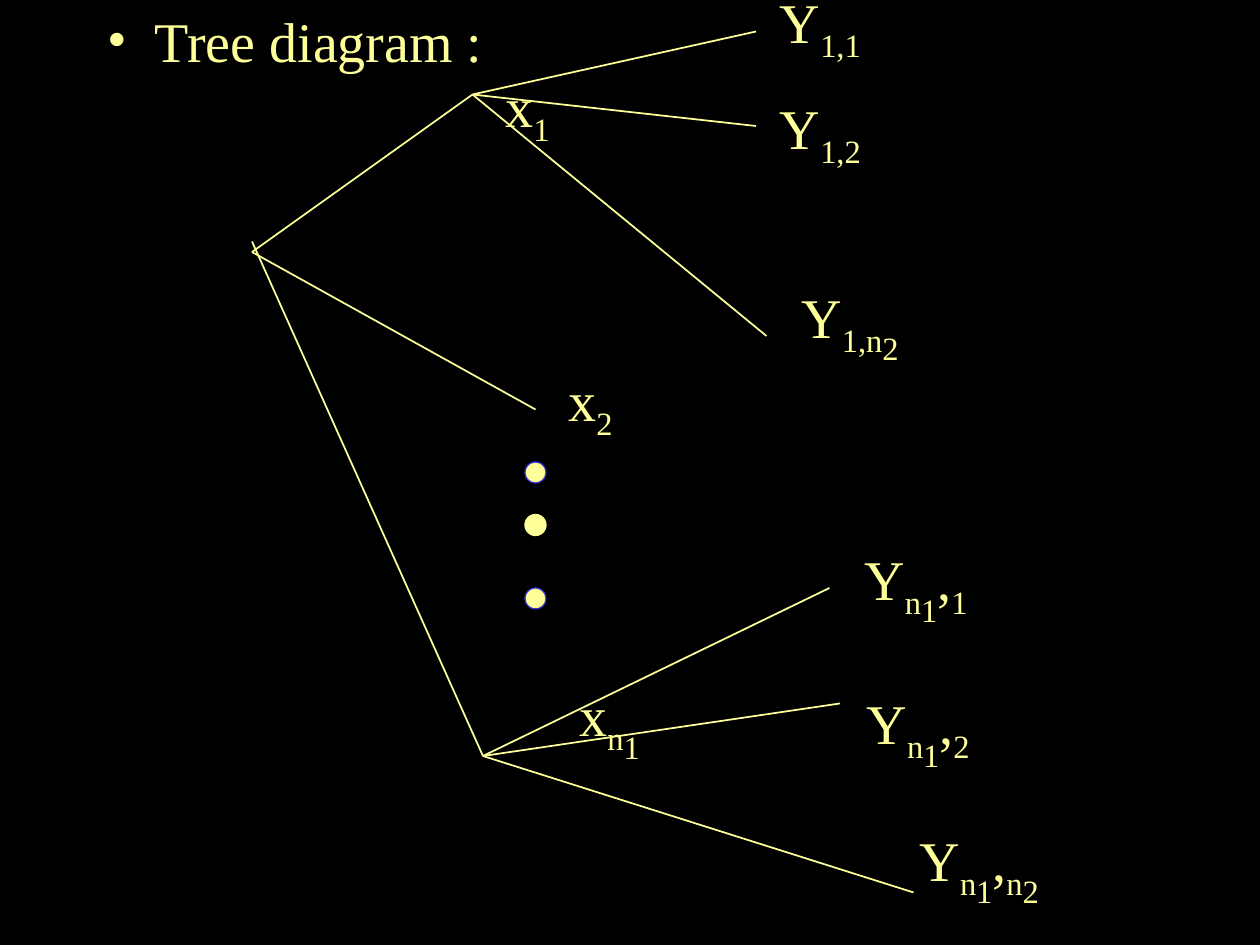
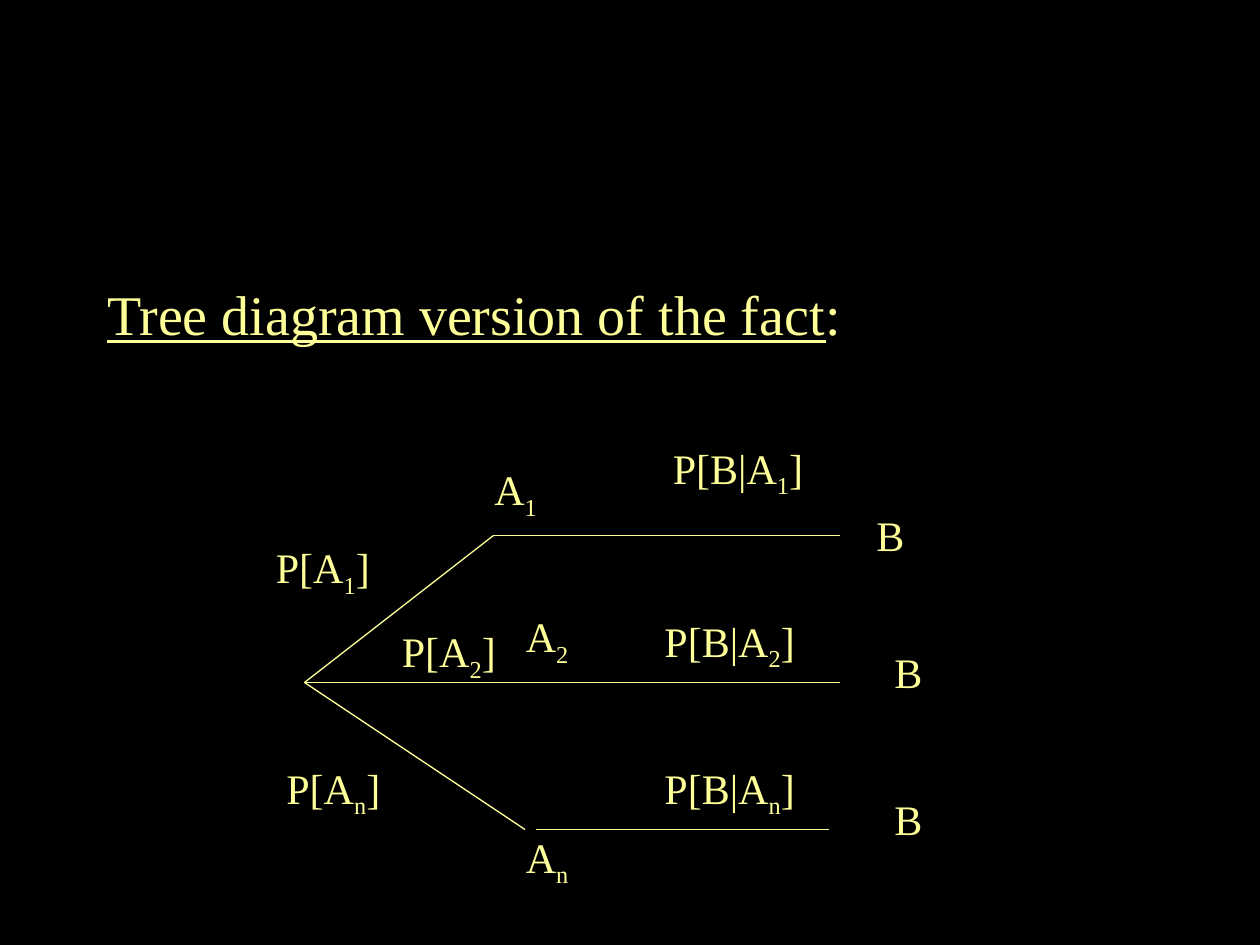
from lxml.etree import SubElement
from pptx import Presentation
from pptx.dml.color import RGBColor
from pptx.enum.shapes import MSO_CONNECTOR as Connector, MSO_SHAPE as Shape
from pptx.enum.text import MSO_ANCHOR as Anchor, MSO_AUTO_SIZE as AutoSize, PP_ALIGN as Align
from pptx.oxml.ns import qn
from pptx.util import Inches, Pt

BLACK, YELLOW, BLUE = (RGBColor.from_string(code) for code in ("000000", "FFFF99", "3333CC"))
FONT = "Times New Roman"
LEVELS = {"_": "-25000", "=": "-40000"}

deck = Presentation()
deck.slide_width, deck.slide_height = Inches(10), Inches(7.5)
CELL = deck.slide_width // 120
deck.slide_master.background.fill.solid()
deck.slide_master.background.fill.fore_color.rgb = BLACK


def draw_branches(page, start, ends, weight):
    for end in ends:
        branch = page.shapes.add_connector(Connector.STRAIGHT, *(CELL * n for n in start + end))
        branch.line.color.rgb = YELLOW
        branch.line.width = Pt(weight)
        SubElement(branch._element.spPr, qn("a:effectLst"))


def write_label(page, markup, place, size, before, wrap=False):
    box = page.shapes.add_textbox(*(round(CELL * n) for n in place))
    box.text_frame.word_wrap = wrap
    box.text_frame.auto_size = AutoSize.SHAPE_TO_FIT_TEXT
    para = box.text_frame.paragraphs[0]
    para.space_before = Pt(before)
    para.font.name, para.font.size = FONT, Pt(size)
    para.font.color.rgb = YELLOW
    for chunk in markup.split():
        span = para.add_run()
        span.text = chunk.lstrip("_=")
        if chunk[0] in LEVELS:
            span._r.get_or_add_rPr().set("baseline", LEVELS[chunk[0]])


headings = [
    ([("Tree diagram :", False)], 0, 80),
    ([("Tree diagram version of the fact", True), (":", False)], 26, 61),
]
pages = []
for spans, top, height in headings:
    page = deck.slides.add_slide(deck.slide_layouts[5])
    title = page.shapes.title
    title.left, title.top, title.width, title.height = (CELL * n for n in (9, top, 102, height))
    title.text_frame.vertical_anchor = Anchor.TOP
    title.text_frame.auto_size = AutoSize.NONE
    title.text_frame.word_wrap = True
    para = title.text_frame.paragraphs[0]
    para.alignment = Align.LEFT
    para.space_before = Pt(8)
    para.font.name, para.font.size = FONT, Pt(32)
    para.font.color.rgb = YELLOW
    for text, underlined in spans:
        span = para.add_run()
        span.text = text
        span.font.underline = underlined
    margins = para._p.get_or_add_pPr()
    margins.set("marL", str(Inches(0.38)))
    margins.set("indent", str(-Inches(0.38)))
    pages.append(page)

general, probability = pages

margins = general.shapes.title.text_frame.paragraphs[0]._p.pPr
defaults = margins.find(qn("a:defRPr"))
for tag, key, value in [("a:buFont", "typeface", FONT), ("a:buChar", "char", "•")]:
    bullet = SubElement(margins, qn(tag))
    bullet.set(key, value)
    defaults.addprevious(bullet)

draw_branches(general, (24, 24), [(45, 9), (51, 39)], 1)
draw_branches(general, (24, 23), [(46, 72)], 1)
draw_branches(general, (45, 9), [(72, 3), (72, 12), (73, 32)], 1)
draw_branches(general, (46, 72), [(79, 56), (80, 67), (87, 85)], 1)

outcomes = [
    ("x _1", 46.95, 6.25, 6.8, 8.5),
    ("x _2", 52.95, 34.25, 6.8, 8.5),
    ("x _n =1", 54, 64.25, 8.4, 9.4),
    ("Y _1,1", 73.1, -1.75, 10.3, 8.5),
    ("Y _1,2", 73.1, 8.3, 10.3, 8.5),
    ("Y _1,n =2", 75.15, 26.3, 12.2, 9.4),
    ("Y _n =1 , _1", 81.15, 51.25, 12.6, 9.4),
    ("Y _n =1 , _2", 81.35, 65, 12.6, 9.4),
    ("Y _n =1 , _n =2", 86.4, 78, 14.4, 9.4),
]
for markup, *place in outcomes:
    write_label(general, markup, place, 32, 8)

for top, outline in [(44, BLUE), (49, YELLOW), (56, BLUE)]:
    dot = general.shapes.add_shape(Shape.OVAL, 50 * CELL, top * CELL, 2 * CELL, 2 * CELL)
    dot.shadow.inherit = False
    dot.fill.solid()
    dot.fill.fore_color.rgb = YELLOW
    dot.line.color.rgb = outline
    dot.line.width = Pt(0.75)

draw_branches(probability, (29, 65), [(47, 51), (50, 65), (50, 79)], 0.75)
for left, right, row in [(47, 80, 51), (50, 80, 65), (51, 79, 79)]:
    draw_branches(probability, (left, row), [(right, row)], 0.75)

label_groups = [
    ("A _{}", 6.7, [(45.9, 43.6), (48.9, 57.6), (48.9, 78.6)]),
    ("P[A _{} ]", 11.5, [(25.1, 51), (37.1, 59), (26.1, 72)]),
    ("P[B|A _{} ]", 15, [(62.9, 41.55), (62.1, 58), (62.1, 72)]),
]
for pattern, width, corners in label_groups:
    for index, corner in zip("12n", corners):
        write_label(probability, pattern.format(index), (*corner, width, 6.7), 24, 0)

for corner in [(82.3, 47.9), (84, 61), (84, 75)]:
    write_label(probability, "B", (*corner, 6.7, 6), 24, 15, wrap=True)

deck.save("out.pptx")
